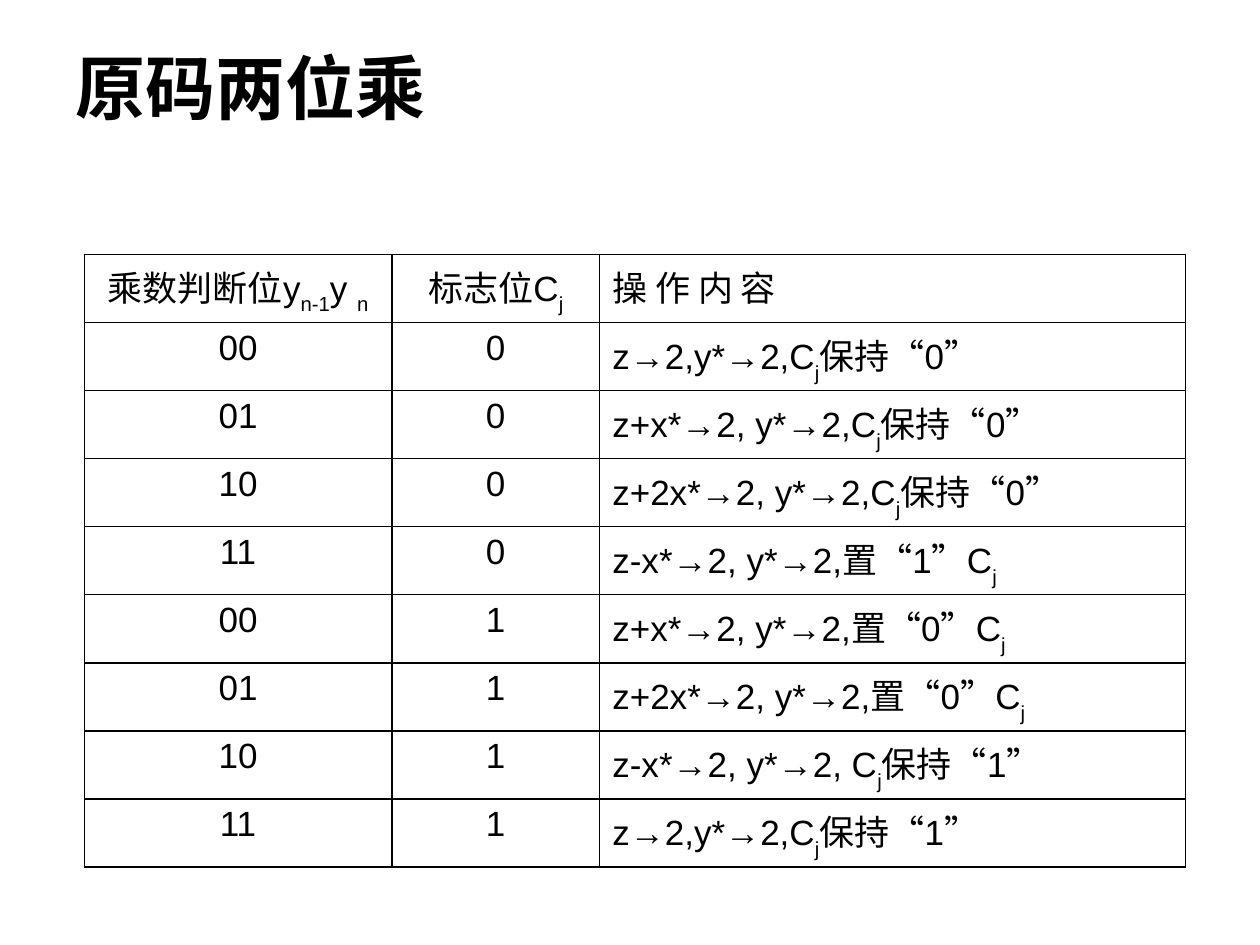
from lxml import etree
from pptx import Presentation
from pptx.dml.color import RGBColor
from pptx.enum.text import MSO_ANCHOR, PP_ALIGN
from pptx.oxml.ns import qn
from pptx.util import Pt

LEFT, CENTER = PP_ALIGN.LEFT, PP_ALIGN.CENTER
MIDDLE, TOP = MSO_ANCHOR.MIDDLE, MSO_ANCHOR.TOP

THEME = {
    "ink": RGBColor(0x00, 0x00, 0x00),
    "paper": RGBColor(0xFF, 0xFF, 0xFF),
    "title": {"name": "Arial", "size": Pt(40), "bold": True},
    "cell": {"name": "Arial", "size": Pt(20), "bold": False},
}

# Parts between bars alternate between normal text and subscript.
ROWS = [
    ("乘数判断位y|n-1|y |n", "标志位C|j", "操 作 内 容"),
    ("00", "0", "z→2,y*→2,C|j|保持“0”"),
    ("01", "0", "z+x*→2, y*→2,C|j|保持“0”"),
    ("10", "0", "z+2x*→2, y*→2,C|j|保持“0”"),
    ("11", "0", "z-x*→2, y*→2,置“1”C|j"),
    ("00", "1", "z+x*→2, y*→2,置“0”C|j"),
    ("01", "1", "z+2x*→2, y*→2,置“0”C|j"),
    ("10", "1", "z-x*→2, y*→2, C|j|保持“1”"),
    ("11", "1", "z→2,y*→2,C|j|保持“1”"),
]
COLUMNS = [(Pt(175.7), CENTER), (Pt(118.8), CENTER), (Pt(334.8), LEFT)]
ROW_HEIGHT = Pt(31.2)


def add_runs(p, text, style):
    for i, part in enumerate(text.split("|")):
        r = p.add_run()
        r.text = part
        for key, value in THEME[style].items():
            setattr(r.font, key, value)
        r.font.color.rgb = THEME["ink"]
        if i % 2:
            r.font._element.set("baseline", "-30000")


def add_borders(cell):
    tc_pr = cell._tc.get_or_add_tcPr()
    for side in ("a:lnL", "a:lnR", "a:lnT", "a:lnB"):
        ln = etree.SubElement(tc_pr, qn(side), w=str(Pt(1)))
        fill = etree.SubElement(ln, qn("a:solidFill"))
        etree.SubElement(fill, qn("a:srgbClr"), val=str(THEME["ink"]))


prs = Presentation()
prs.slide_width, prs.slide_height = Pt(720), Pt(540)
s = prs.slides.add_slide(prs.slide_layouts[5])

title = s.shapes.title
title.left, title.top, title.width, title.height = Pt(36), Pt(21.6), Pt(648), Pt(55.4)
tf = title.text_frame
tf.vertical_anchor = MIDDLE
p = tf.paragraphs[0]
p.alignment = LEFT
add_runs(p, "原码两位乘", "title")

table = s.shapes.add_table(
    len(ROWS), len(COLUMNS), Pt(48.2), Pt(145.4),
    sum(width for width, _ in COLUMNS), ROW_HEIGHT * len(ROWS),
).table
table.first_row = table.horz_banding = False
for column, (width, _) in zip(table.columns, COLUMNS):
    column.width = width

for row, texts in zip(table.rows, ROWS):
    row.height = ROW_HEIGHT
    for cell, text, (_, alignment) in zip(row.cells, texts, COLUMNS):
        cell.vertical_anchor = TOP
        add_borders(cell)
        cell.fill.solid()
        cell.fill.fore_color.rgb = THEME["paper"]
        p = cell.text_frame.paragraphs[0]
        p.alignment = alignment
        add_runs(p, text, "cell")

prs.save("out.pptx")
